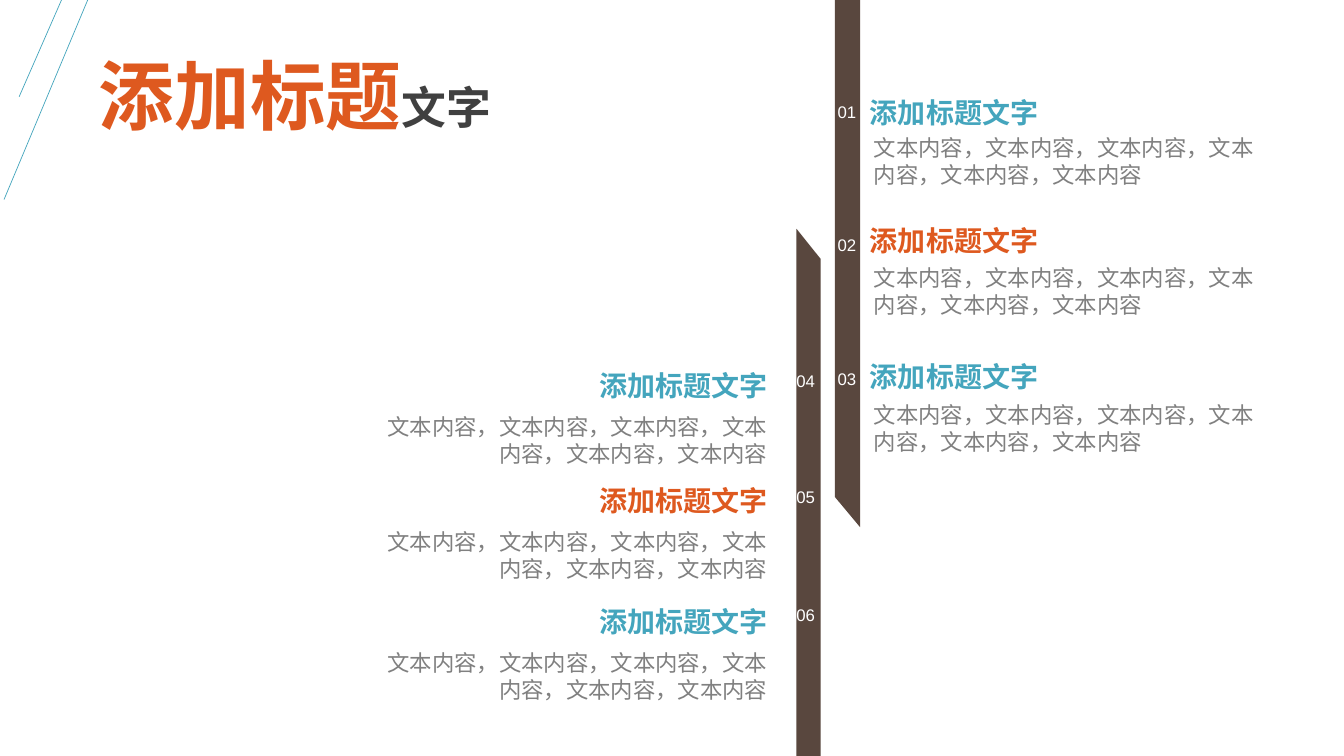
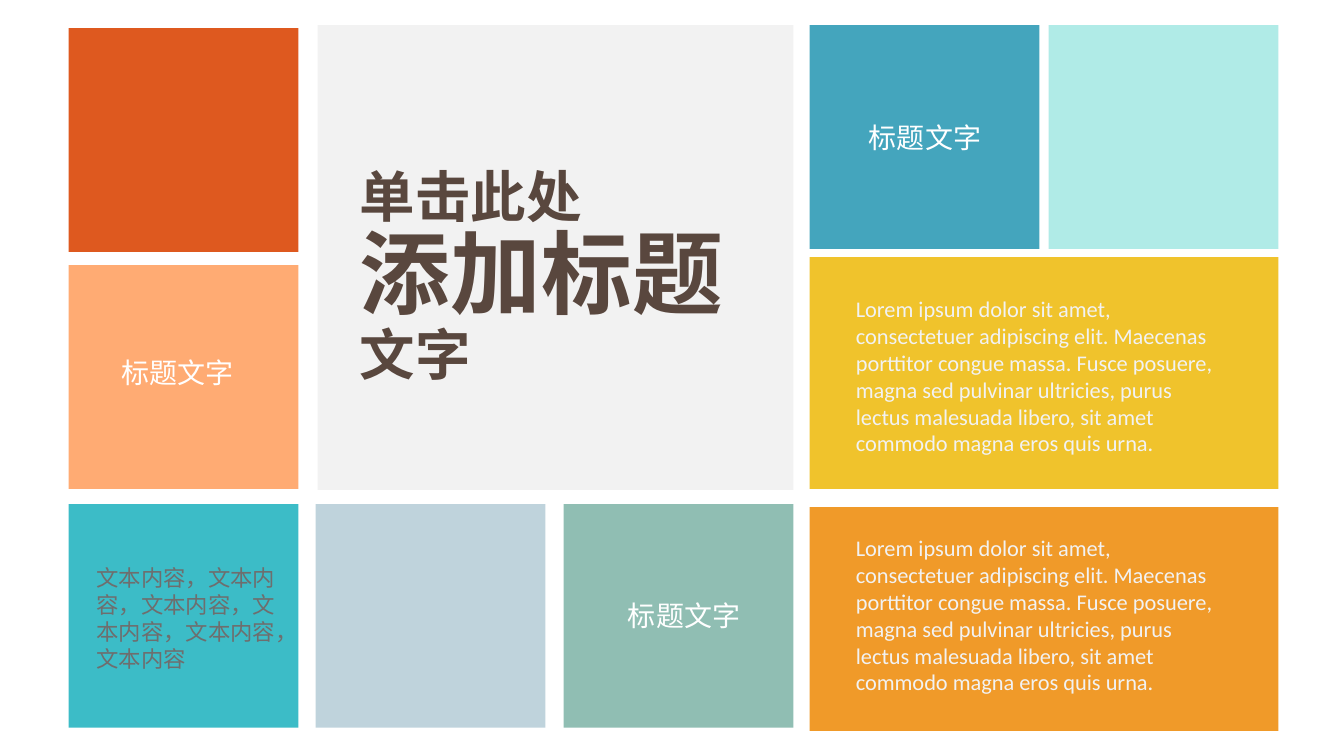
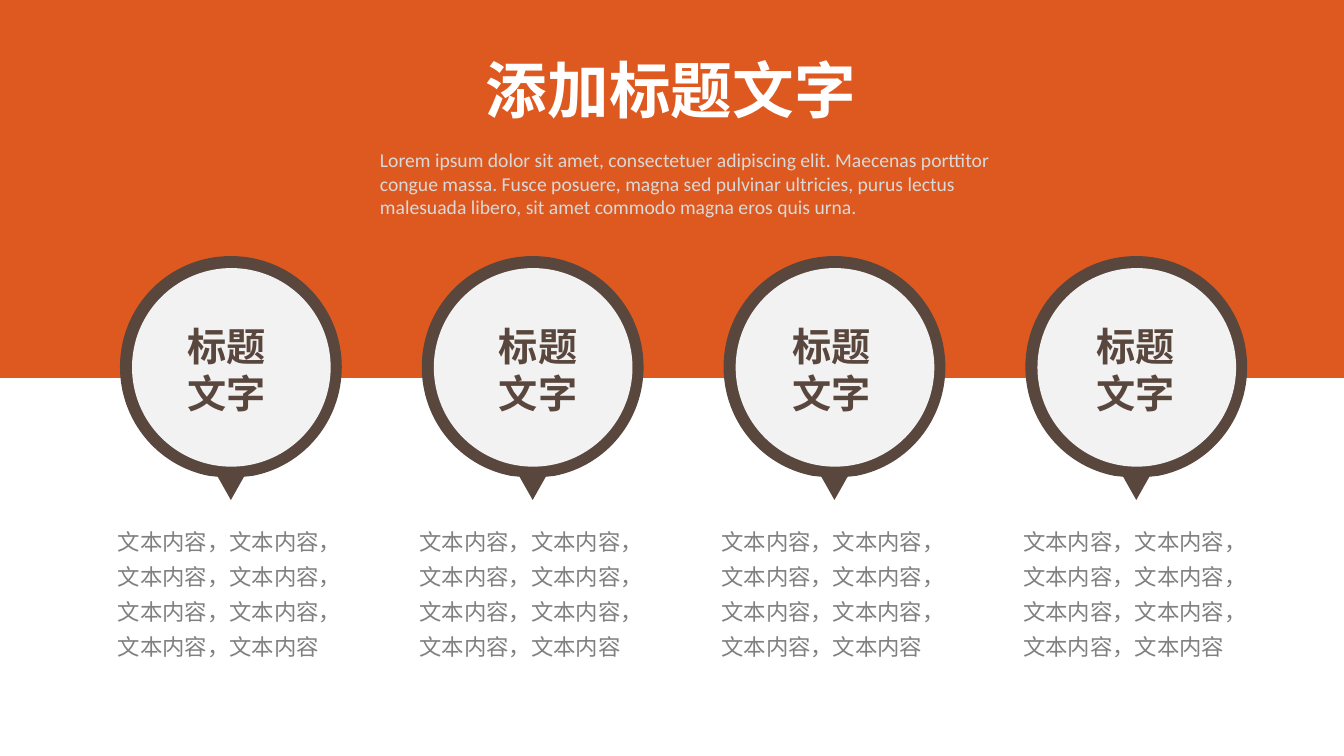
from copy import deepcopy

from lxml.etree import SubElement
from pptx import Presentation
from pptx.dml.color import RGBColor
from pptx.enum.shapes import MSO_CONNECTOR as CONNECTOR, MSO_SHAPE as SHAPE
from pptx.enum.text import MSO_ANCHOR as ANCHOR, MSO_AUTO_SIZE as AUTO_SIZE, PP_ALIGN as ALIGN
from pptx.oxml.ns import qn
from pptx.util import Inches, Pt

WIDTH, HEIGHT = 13.33, 7.5
BROWN, ORANGE, BLUE = "59473E", "DE591F", "44A5BD"
WHITE, PALE, GREY = "FFFFFF", "F2F2F2", "808080"
CJK = "Noto Sans CJK SC"
FORMATS = {
    "title": {"name": CJK, "bold": True},
    "heading": {"name": CJK, "size": Pt(20), "bold": True},
    "tile": {"name": CJK, "size": Pt(20)},
    "body": {"name": CJK, "size": Pt(16)},
    "badge": {"name": CJK, "size": Pt(28), "bold": True},
    "number": {"name": "Arial", "size": Pt(12)},
    "latin": {"name": "Calibri", "size": Pt(16)},
    "intro": {"name": "Calibri", "size": Pt(14)},
}
HEADING = "添加标题文字"
LOREM = ("Lorem ipsum dolor sit amet, consectetuer adipiscing elit. Maecenas porttitor "
         "congue massa. Fusce posuere, magna sed pulvinar ultricies, purus lectus "
         "malesuada libero, sit amet commodo magna eros quis urna.")
# Right half of the pin from its top to beside its tip, around the circle's centre.
PIN_SIDE = [(0, -1.1), (0.61, -1.1), (1.1, -0.61), (1.1, 0),
            (1.1, 0.53), (0.73, 0.98), (0.22, 1.08), (0.13, 1.09)]
PIN_TIP = (0, 1.32)
PIN_CURVES = (0, 3, 10, 13)


def color(value):
    return RGBColor.from_string(value)


def repeated(count):
    return "，".join(["文本内容"] * count)


def set_east_asian_font(shape):
    """Apply each run's font to Chinese text, and its format to line breaks."""
    for properties in shape.element.iter(qn("a:rPr")):
        latin = properties.find(qn("a:latin"))
        SubElement(properties, qn("a:ea"), typeface=latin.get("typeface"))
    for line_break in shape.element.iter(qn("a:br")):
        properties = line_break.getprevious().find(qn("a:rPr"))
        line_break.insert(0, deepcopy(properties))


def bend(shape, curves):
    """Turn three segments, from each index in curves, into one cubic curve."""
    segments = list(shape.element.iter(qn("a:lnTo")))
    for index in curves:
        curve, *others = segments[index:index + 3]
        curve.tag = qn("a:cubicBezTo")
        for segment in others:
            curve.append(segment[0])
            segment.getparent().remove(segment)


class Deck:
    def __init__(self):
        self.presentation = Presentation()
        self.presentation.slide_width = Inches(WIDTH)
        self.presentation.slide_height = Inches(HEIGHT)
        self.slide = None

    def add_slide(self):
        layout = self.presentation.slide_layouts.get_by_name("Title Only")
        self.slide = self.presentation.slides.add_slide(layout)

    def group(self):
        return self.slide.shapes.add_group_shape()

    def run(self, paragraph, text, style, hex_color, **extra):
        run = paragraph.add_run()
        run.text = text
        for attribute, value in {**FORMATS[style], **extra}.items():
            setattr(run.font, attribute, value)
        run.font.color.rgb = color(hex_color)

    def title(self, box, *parts):
        """Fill the title from (text, size, colour) parts; "\n" breaks the line."""
        title = self.slide.shapes.title
        title.left, title.top, title.width, title.height = map(Inches, box)
        title.element.getparent().append(title.element)
        frame = title.text_frame
        frame.word_wrap = True
        frame.auto_size = AUTO_SIZE.NONE
        frame.vertical_anchor = ANCHOR.MIDDLE
        paragraph = frame.paragraphs[0]
        paragraph.alignment = ALIGN.LEFT
        paragraph.line_spacing = 0.9
        for text, size, hex_color in parts:
            self.run(paragraph, text.rstrip("\n"), "title", hex_color, size=Pt(size))
            if text.endswith("\n"):
                paragraph.add_line_break()
        set_east_asian_font(title)

    def text(self, box, text, style, hex_color, align=ALIGN.LEFT, spacing=None, wrap=True):
        shape = self.slide.shapes.add_textbox(*map(Inches, box))
        frame = shape.text_frame
        frame.word_wrap = wrap
        frame.auto_size = AUTO_SIZE.SHAPE_TO_FIT_TEXT
        for index, line in enumerate(text.split("\n")):
            paragraph = frame.add_paragraph() if index else frame.paragraphs[0]
            paragraph.alignment = align
            paragraph.line_spacing = spacing
            self.run(paragraph, line, style, hex_color)
        set_east_asian_font(shape)

    def paint(self, shape, hex_color):
        shape.shadow.inherit = False
        shape.fill.solid()
        shape.fill.fore_color.rgb = color(hex_color)
        shape.line.fill.background()

    def shape(self, kind, box, hex_color, group=None):
        shape = (group or self.slide).shapes.add_shape(kind, *map(Inches, box))
        self.paint(shape, hex_color)

    def outline(self, points, hex_color, group=None, curves=()):
        start, *others = [(Inches(x), Inches(y)) for x, y in points]
        builder = (group or self.slide).shapes.build_freeform(*start)
        builder.add_line_segments(others, close=True)
        shape = builder.convert_to_shape()
        bend(shape, curves)
        self.paint(shape, hex_color)

    def line(self, ends, hex_color, group):
        connector = group.shapes.add_connector(CONNECTOR.STRAIGHT, *map(Inches, ends))
        connector.line.color.rgb = color(hex_color)
        connector.line.width = Pt(0.5)
        SubElement(connector.element.find(qn("p:spPr")), qn("a:effectLst"))

    def pin(self, center_x, center_y):
        """Draw a ringed circle with a pointed tip below it."""
        group = self.group()
        mirrored = [(-x, y) for x, y in reversed(PIN_SIDE)]
        points = [(center_x + x, center_y + y) for x, y in [*PIN_SIDE, PIN_TIP, *mirrored]]
        self.outline(points, BROWN, group, PIN_CURVES)
        self.shape(SHAPE.OVAL, (center_x - 0.98, center_y - 0.98, 1.97, 1.97), PALE, group)


def add_timeline_slide(deck):
    deck.add_slide()
    deck.outline([(8.28, 0), (8.53, 0), (8.53, 5.23), (8.28, 4.93), (8.28, 0)], BROWN)
    deck.outline([(8.14, HEIGHT), (7.9, HEIGHT), (7.9, 2.27), (8.14, 2.57), (8.14, HEIGHT)],
                 BROWN)
    # Each side: left of number, heading and body, alignment, then tops of each entry.
    sides = [
        (8.21, 8.53, 8.57, ALIGN.LEFT,
         [(0.96, 0.9, 1.28), (2.28, 2.17, 2.57), (3.61, 3.52, 3.93)]),
        (7.8, 5.85, 3.55, ALIGN.RIGHT,
         [(3.63, 3.61, 4.05), (4.78, 4.75, 5.19), (5.95, 5.95, 6.39)]),
    ]
    number = 0
    for number_left, heading_left, body_left, align, entries in sides:
        for (number_top, heading_top, body_top), accent in zip(entries, (BLUE, ORANGE, BLUE)):
            number += 1
            deck.text((number_left, number_top, 0.46, 0.3), f"{number:02}", "number", WHITE)
            deck.text((heading_left, heading_top, 1.89, 0.44), HEADING, "heading", accent)
            deck.text((body_left, body_top, 4.16, 0.64), repeated(6), "body", GREY, align)
    corner = deck.group()
    for ends in ((0.61, 0, 0.19, 0.96), (0.87, 0, 0.04, 1.98)):
        deck.line(ends, BLUE, corner)
    deck.title((0.88, 0.48, 5.59, 1.02), ("添加标题", 54, ORANGE), ("文字", 32, "404040"))


def add_tiles_slide(deck):
    deck.add_slide()
    tile = (2.28, 2.22)
    deck.shape(SHAPE.RECTANGLE, (3.15, 0.25, 4.72, 4.61), PALE)
    deck.title((3.47, 1.78, 4.03, 1.96), ("单击此处\n", 39.6, BROWN),
               ("添加标题", 64.8, BROWN), ("文字", 39.6, BROWN))
    panels = [
        (8.03, 2.55, 4.65, 2.3, "F0C32C"),
        (8.03, 5.03, 4.65, 2.22, "F09A29"),
        (8.03, 0.25, *tile, BLUE),
        (10.4, 0.25, *tile, "B0EBE7"),
        (0.68, 2.63, *tile, "FFAB73"),
        (0.68, 5, *tile, "3CBCC7"),
        (3.13, 5, *tile, "BFD3DC"),
        (5.59, 5, *tile, "90BEB3"),
        (0.68, 0.28, *tile, ORANGE),
    ]
    for *box, fill in panels:
        deck.shape(SHAPE.RECTANGLE, box, fill)
    for left, top in ((8.52, 1.15), (1.11, 3.48), (6.13, 5.89)):
        deck.text((left, top, 1.38, 0.44), "标题文字", "tile", WHITE)
    deck.text((0.86, 5.55, 2.06, 1.18), repeated(6), "body", "6E6E6E")
    for top in (2.88, 5.25):
        deck.text((8.39, top, 3.8, 1.72), LOREM, "latin", PALE)


def add_pins_slide(deck):
    deck.add_slide()
    deck.shape(SHAPE.RECTANGLE, (0, 0, WIDTH, HEIGHT / 2), ORANGE)
    deck.title((4.72, 0.42, 4.61, 1.02), (HEADING, 44, WHITE))
    for index, label_left in enumerate((1.76, 4.85, 7.76, 10.78)):
        offset = index * 8.98 / 3
        deck.pin(2.29 + offset, 3.64)
        deck.text((label_left, 3.15, 0.99, 1.04), "标题\n文字", "badge", BROWN, wrap=False)
        deck.text((1.07 + offset, 5.11, 2.6, 1.47), repeated(8), "body", GREY, spacing=1.3)
    deck.text((3.67, 1.42, 6.28, 0.81), LOREM, "intro", "D9D9D9")


def main():
    deck = Deck()
    add_timeline_slide(deck)
    add_tiles_slide(deck)
    add_pins_slide(deck)
    deck.presentation.save("out.pptx")


if __name__ == "__main__":
    main()
